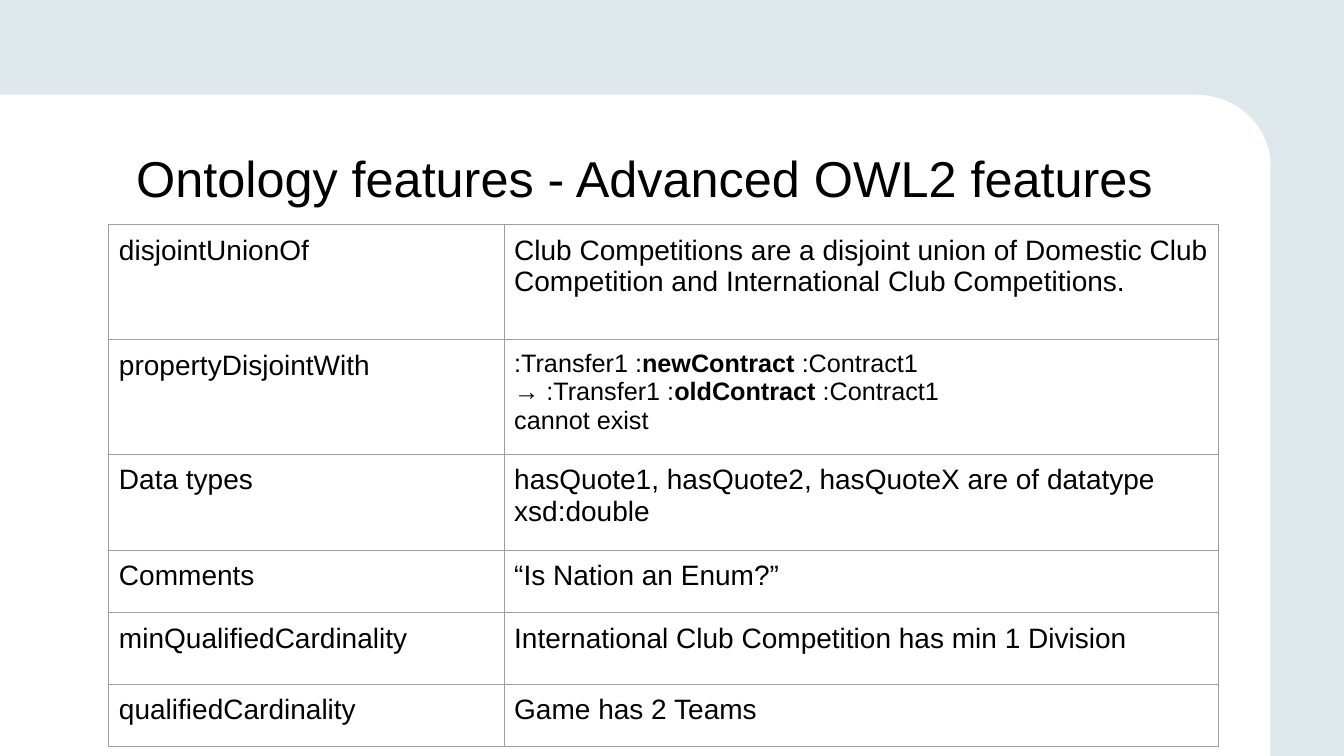
"""Builds the slide on advanced OWL2 ontology features."""
from lxml import etree
from pptx import Presentation
from pptx.dml.color import RGBColor
from pptx.enum.shapes import MSO_SHAPE
from pptx.enum.text import MSO_ANCHOR, MSO_AUTO_SIZE, PP_ALIGN
from pptx.oxml.ns import qn
from pptx.util import Inches, Pt

RECT, OVAL = MSO_SHAPE.RECTANGLE, MSO_SHAPE.OVAL
TOP, LEFT, NO_FIT = MSO_ANCHOR.TOP, PP_ALIGN.LEFT, MSO_AUTO_SIZE.NONE

THEME = {
    "font": "Arial",
    "text": RGBColor(0x00, 0x00, 0x00),
    "panel": RGBColor(0xFF, 0xFF, 0xFF),
    "background": RGBColor(0xDE, 0xE7, 0xEC),
    "border": "9E9E9E",
    "title": Pt(36),
    "body": Pt(20),
    "small": Pt(18),
}

PANEL = [
    (RECT, 0, 0.94, 11.88, 6.56),
    (OVAL, 11.12, 0.94, 1.48, 1.39),
    (RECT, 7.14, 1.62, 5.46, 5.88),
]

COLUMNS = [3.92, 7.09]
FEATURES = [
    (1.14, "disjointUnionOf", "Club Competitions are a disjoint union of Domestic Club "
     "Competition and International Club Competitions.", "body"),
    (1.14, "propertyDisjointWith", ":Transfer1 :**newContract** :Contract1 \n"
     "→ :Transfer1 :**oldContract** :Contract1 \ncannot exist", "small"),
    (0.95, "Data types", "hasQuote1, hasQuote2, hasQuoteX are of datatype xsd:double", "body"),
    (0.62, "Comments", "“Is Nation an Enum?”", "body"),
    (0.71, "minQualifiedCardinality", "International Club Competition has min 1 Division", "body"),
    (0.62, "qualifiedCardinality", "Game has 2 Teams", "body"),
]


def style_run(r, size, bold=False):
    """Apply the theme font to a run."""
    r.font.name = THEME["font"]
    r.font.size = THEME[size]
    r.font.color.rgb = THEME["text"]
    r.font.bold = bold


def fill_cell(cell, text, size):
    """Write text with **bold** parts into a bordered cell."""
    cell.fill.background()
    cell.vertical_anchor = TOP
    cell.margin_left = cell.margin_right = Inches(0.1)
    cell.margin_top = cell.margin_bottom = Inches(0.1)
    p = cell.text_frame.paragraphs[0]
    for i, part in enumerate(text.split("**")):
        for j, line in enumerate(part.split("\n")):
            if j:
                p.add_line_break()
            r = p.add_run()
            r.text = line
            style_run(r, size, bold=i % 2 == 1)
    tc_pr = cell._tc.get_or_add_tcPr()
    for i, side in enumerate(("lnL", "lnR", "lnT", "lnB")):
        ln = etree.Element(qn(f"a:{side}"), w=str(Pt(0.75)))
        solid = etree.SubElement(ln, qn("a:solidFill"))
        etree.SubElement(solid, qn("a:srgbClr"), val=THEME["border"])
        tc_pr.insert(i, ln)


prs = Presentation()
prs.slide_width, prs.slide_height = Inches(13.33), Inches(7.5)
s = prs.slides.add_slide(prs.slide_layouts[5])
s.background.fill.solid()
s.background.fill.fore_color.rgb = THEME["background"]

for shape, *box in PANEL:
    sp = s.shapes.add_shape(shape, *map(Inches, box))
    sp.shadow.inherit = False
    sp.fill.solid()
    sp.fill.fore_color.rgb = THEME["panel"]
    sp.line.fill.background()

title = s.shapes.title
s.shapes._spTree.append(title._element)
title.left, title.top = Inches(1.25), Inches(1.41)
title.width, title.height = Inches(10.83), Inches(1.25)
tf = title.text_frame
tf.text = "Ontology features - Advanced OWL2 features"
tf.vertical_anchor = TOP
tf.auto_size = NO_FIT
tf.paragraphs[0].alignment = LEFT
style_run(tf.paragraphs[0].runs[0], "title")

height = sum(row[0] for row in FEATURES)
table = s.shapes.add_table(len(FEATURES), len(COLUMNS), Inches(1.08), Inches(2.23),
                           Inches(sum(COLUMNS)), Inches(height)).table
table.first_row = table.horz_banding = False
for column, width in zip(table.columns, COLUMNS):
    column.width = Inches(width)
for i, (row_height, feature, example, size) in enumerate(FEATURES):
    table.rows[i].height = Inches(row_height)
    fill_cell(table.cell(i, 0), feature, "body")
    fill_cell(table.cell(i, 1), example, size)

prs.save("out.pptx")
